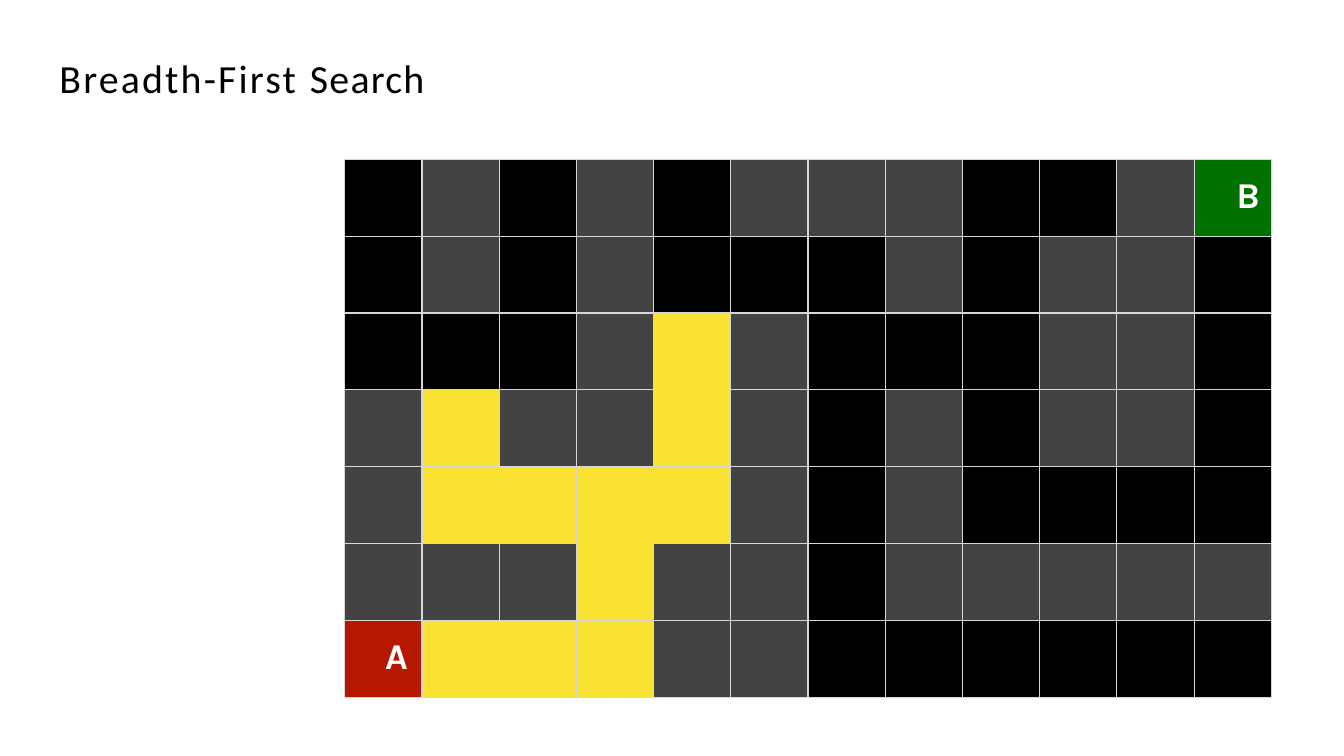
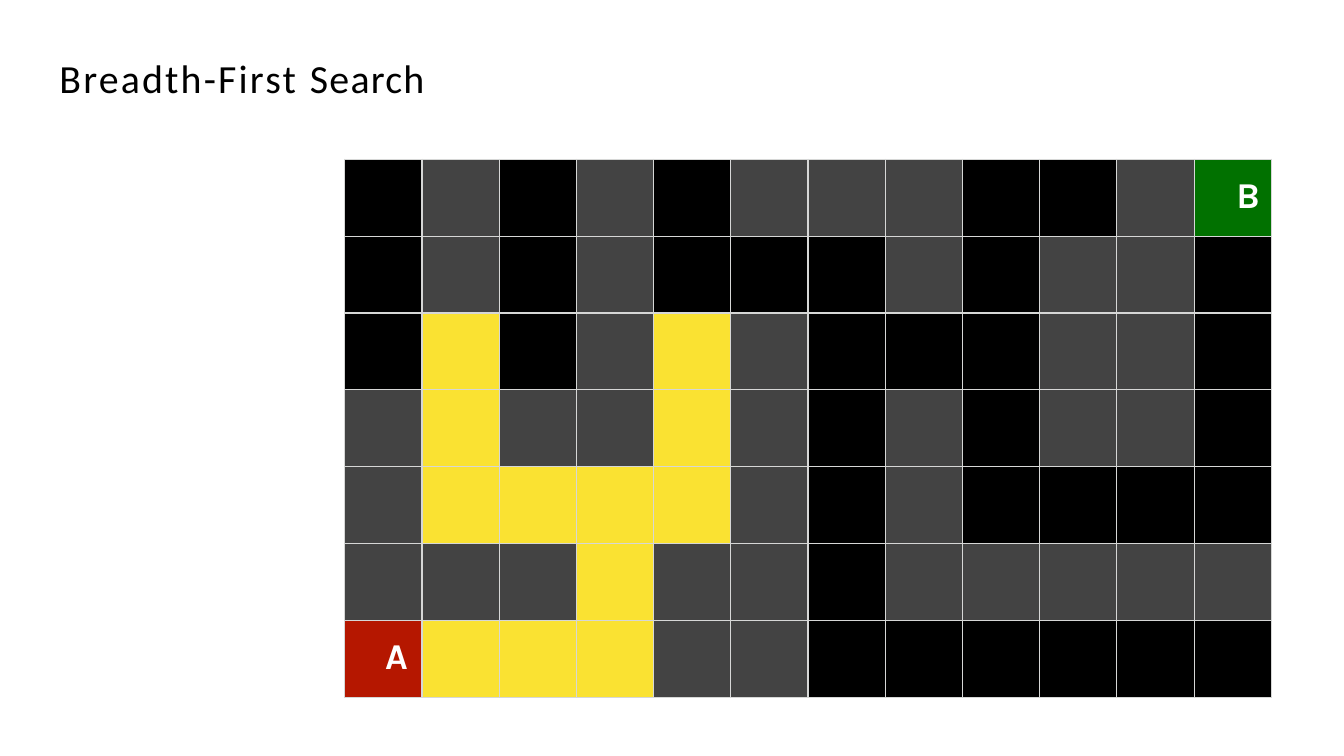
from dataclasses import dataclass
from typing import Any

from lxml.etree import SubElement
from pptx import Presentation
from pptx.dml.color import RGBColor
from pptx.enum.text import MSO_ANCHOR, MSO_AUTO_SIZE, PP_ALIGN
from pptx.oxml.ns import qn
from pptx.util import Inches, Pt


@dataclass(frozen=True)
class Theme:
    ink: str = "000000"
    floor: str = "000000"
    wall: str = "434343"
    explored: str = "FAE232"
    start: str = "B51700"
    goal: str = "017100"
    label: str = "FFFFFF"
    grid: str = "D6D7D6"
    grid_pt: float = 1
    title_font: str = "Calibri"
    title_pt: float = 28.5
    label_font: str = "Karla"
    label_pt: float = 26


@dataclass(frozen=True)
class Box:
    left: float
    top: float
    width: float
    height: float

    def emu(self) -> dict[str, int]:
        return {name: Inches(getattr(self, name))
                for name in ("left", "top", "width", "height")}


@dataclass(frozen=True)
class Marker:
    fill: str
    top: float
    indent: float
    before: float


@dataclass(frozen=True)
class SearchStep:
    title: tuple[tuple[str, float], ...]
    explored: frozenset[tuple[int, int]]


THEME = Theme()
SLIDE_W, SLIDE_H = 13.33, 7.5
TITLE_BOX = Box(0.58, 0.52, 4.05, 0.49)
MAZE_BOX = Box(3.42, 1.58, 9.19, 5.34)
MAZE = (
    ".#.#.###..#B",
    ".#.#...#.##.",
    "...#.#...##.",
    "#.##.#.#.##.",
    "#....#.#....",
    "###.##.#####",
    "A...##......",
)
FILLS = {".": THEME.floor, "#": THEME.wall}
MARKERS = {
    "A": Marker(THEME.start, 0.15, 0.4, 18),
    "B": Marker(THEME.goal, 0.16, 0.42, 18.5),
}
TITLE = (("Breadth-First ", 1.6), ("Search", 0.9))
FRONTIER = frozenset({
    (6, 1), (6, 2), (6, 3), (5, 3), (4, 3), (4, 2), (4, 4),
    (4, 1), (3, 4), (3, 1), (2, 4),
})
STEPS = (
    SearchStep(TITLE, FRONTIER),
    SearchStep(TITLE, FRONTIER | {(2, 1)}),
)


def apply(target: Any, values: dict[str, Any]) -> None:
    for name, value in values.items():
        setattr(target, name, value)


def add_run(p: Any, text: str, font: str, size: float, color: str,
            bold: bool = False) -> Any:
    r = p.add_run()
    r.text = text
    apply(r.font, {"name": font, "size": Pt(size), "bold": bold})
    r.font.color.rgb = RGBColor.from_string(color)
    return r


def set_indent(p: Any, left: float) -> None:
    pPr = p._p.get_or_add_pPr()
    pPr.set("marL", str(Inches(left)))
    pPr.set("indent", "0")


def set_title(s: Any, parts: tuple[tuple[str, float], ...]) -> None:
    sp = s.shapes.title
    apply(sp, TITLE_BOX.emu())
    tf = sp.text_frame
    apply(tf, {
        "margin_left": 0, "margin_top": Inches(0.01),
        "margin_right": 0, "margin_bottom": 0, "word_wrap": True,
        "vertical_anchor": MSO_ANCHOR.MIDDLE,
        "auto_size": MSO_AUTO_SIZE.SHAPE_TO_FIT_TEXT,
    })
    p = tf.paragraphs[0]
    apply(p, {"alignment": PP_ALIGN.LEFT, "space_before": Pt(0.6)})
    set_indent(p, 0.01)
    for text, spacing in parts:
        r = add_run(p, text, THEME.title_font, THEME.title_pt, THEME.ink)
        r._r.get_or_add_rPr().set("spc", str(round(spacing * 100)))


def set_borders(cell: Any) -> None:
    tcPr = cell._tc.get_or_add_tcPr()
    for side in ("a:lnL", "a:lnR", "a:lnT", "a:lnB"):
        ln = SubElement(tcPr, qn(side), w=str(Pt(THEME.grid_pt)))
        fill = SubElement(ln, qn("a:solidFill"))
        SubElement(fill, qn("a:srgbClr"), val=THEME.grid)


def fill_cell(cell: Any, color: str) -> None:
    set_borders(cell)
    cell.fill.solid()
    cell.fill.fore_color.rgb = RGBColor.from_string(color)


def label_cell(cell: Any, text: str, marker: Marker) -> None:
    apply(cell, {"margin_left": 0, "margin_top": Inches(marker.top),
                 "margin_right": 0, "margin_bottom": 0})
    p = cell.text_frame.paragraphs[0]
    p.space_before = Pt(marker.before)
    set_indent(p, marker.indent)
    add_run(p, text, THEME.label_font, THEME.label_pt, THEME.label, True)


def add_maze(s: Any, explored: frozenset[tuple[int, int]]) -> None:
    table = s.shapes.add_table(len(MAZE), len(MAZE[0]), **MAZE_BOX.emu()).table
    apply(table, {"first_row": False, "horz_banding": False})
    for row, line in enumerate(MAZE):
        for col, kind in enumerate(line):
            cell = table.cell(row, col)
            if kind in MARKERS:
                fill_cell(cell, MARKERS[kind].fill)
                label_cell(cell, kind, MARKERS[kind])
            else:
                seen = (row, col) in explored
                fill_cell(cell, THEME.explored if seen else FILLS[kind])


def main() -> None:
    prs = Presentation()
    apply(prs, {"slide_width": Inches(SLIDE_W),
                "slide_height": Inches(SLIDE_H)})
    for step in STEPS:
        s = prs.slides.add_slide(prs.slide_layouts[5])
        add_maze(s, step.explored)
        set_title(s, step.title)
    prs.save("out.pptx")


if __name__ == "__main__":
    main()
